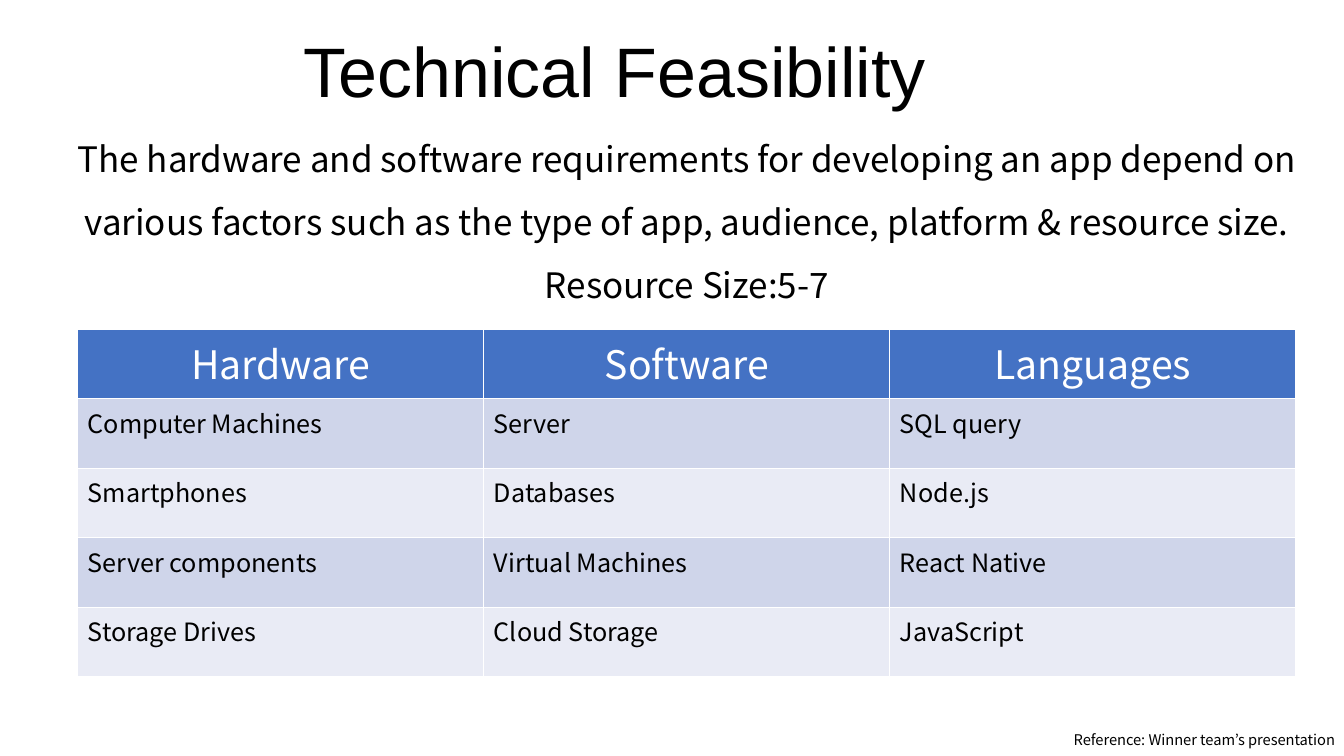
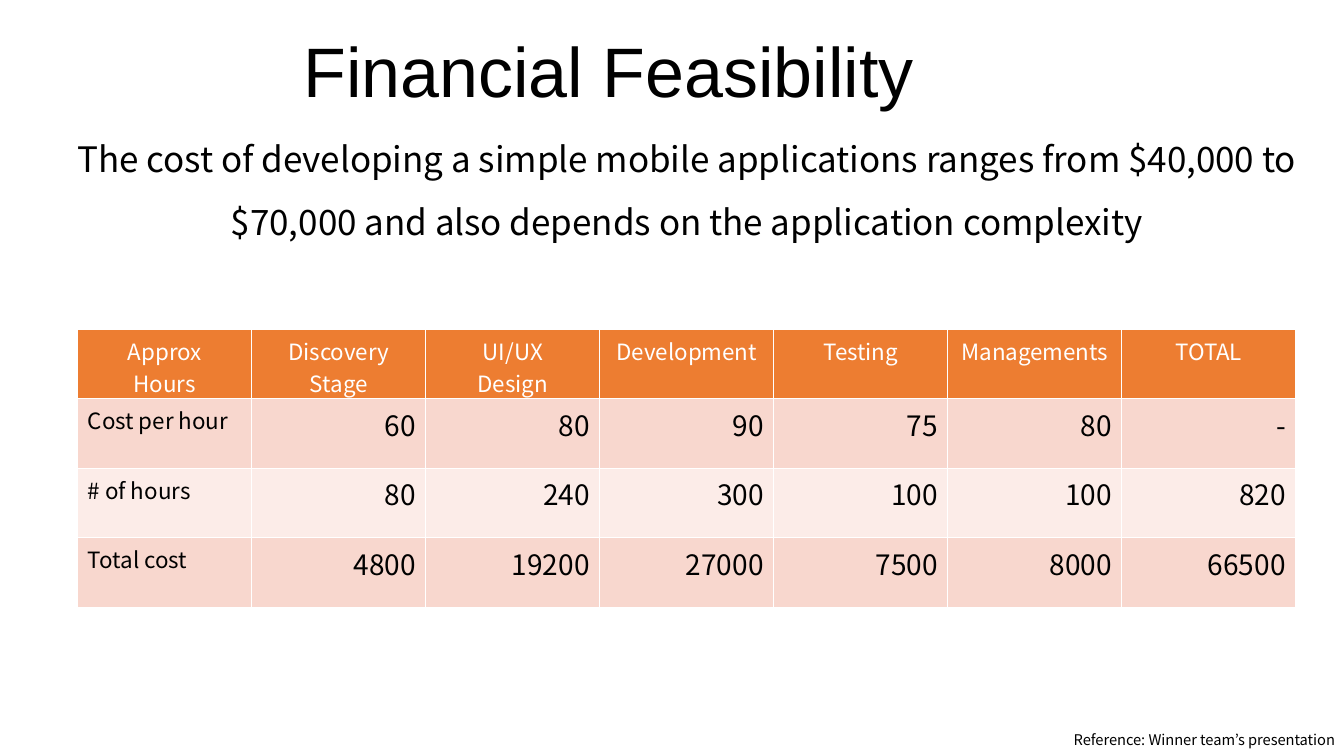
from pptx import Presentation
from pptx.dml.color import RGBColor
from pptx.enum import text
from pptx.util import Cm, Pt

COLORS = {
    "text": "000000", "header_text": "FFFFFF",
    "blue": "4472C4", "blue_dark": "CFD5EA", "blue_light": "E9EBF5",
    "orange": "ED7D31", "orange_dark": "F8D7CE", "orange_light": "FCECE8",
}
TITLE_FONT, BODY_FONT = "Arial", "Noto Sans CJK KR"
LEFT, CENTER, RIGHT = (text.PP_ALIGN.LEFT, text.PP_ALIGN.CENTER,
                       text.PP_ALIGN.RIGHT)

# left, top, width, height in cm
TITLE_BOX = (7.39, 0.56, 19.1, 4.52)
INTRO_BOX = (1.65, 2.82, 31.32, 4.85)
FOOTER_BOX = (26.14, 18.08, 8.43, 0.84)
TABLE_LEFT, TABLE_TOP, TABLE_WIDTH, ROW_HEIGHT = 1.96, 8.3, 30.7, 1.75

FOOTER = "Reference: Winner team’s presentation"
SLIDES = [
    {
        "title": "Technical Feasibility",
        "intro": [
            "The hardware and software requirements for developing an app "
            "depend on various factors such as the type of app, audience, "
            "platform & resource size.",
            "Resource Size:5-7",
        ],
        "accent": "blue",
        "header_size": 28,
        "label_size": 18,
        "value_style": (18, LEFT),
        "rows": [
            ("Hardware", "Software", "Languages"),
            ("Computer Machines", "Server", "SQL query"),
            ("Smartphones", "Databases", "Node.js"),
            ("Server components", "Virtual Machines", "React Native"),
            ("Storage Drives", "Cloud Storage", "JavaScript"),
        ],
    },
    {
        "title": "Financial Feasibility",
        "intro": [
            "The cost of developing a simple mobile applications ranges from "
            "$40,000 to $70,000 and also depends on the application complexity",
        ],
        "accent": "orange",
        "header_size": 16,
        "label_size": 16,
        "value_style": (20, RIGHT),
        "rows": [
            ("Approx\nHours", "Discovery\nStage", "UI/UX\nDesign",
             "Development", "Testing", "Managements", "TOTAL"),
            ("Cost per hour", "60", "80", "90", "75", "80", "-"),
            ("# of hours", "80", "240", "300", "100", "100", "820"),
            ("Total cost", "4800", "19200", "27000", "7500", "8000", "66500"),
        ],
    },
]


def rgb(name):
    return RGBColor.from_string(COLORS[name])


def write(tf, content, size, align, font=BODY_FONT, color="text", spacing=None):
    """Fill a text frame; each line of content becomes a paragraph."""
    tf.text = content
    for p in tf.paragraphs:
        p.alignment = align
        p.line_spacing = spacing
        p.font.name = font
        p.font.size = Pt(size)
        p.font.bold = False
        p.font.color.rgb = rgb(color)


def add_title(s, title):
    sp = s.shapes.title
    sp.left, sp.top, sp.width, sp.height = map(Cm, TITLE_BOX)
    tf = sp.text_frame
    tf.auto_size = text.MSO_AUTO_SIZE.NONE
    tf.vertical_anchor = text.MSO_ANCHOR.TOP
    write(tf, title, 50, LEFT, TITLE_FONT)


def add_text(s, box, content, size):
    tf = s.shapes.add_textbox(*map(Cm, box)).text_frame
    tf.word_wrap = True
    write(tf, content, size, CENTER, spacing=1.5)


def add_table(s, data):
    rows, accent = data["rows"], data["accent"]
    table = s.shapes.add_table(
        len(rows), len(rows[0]), Cm(TABLE_LEFT), Cm(TABLE_TOP),
        Cm(TABLE_WIDTH), Cm(ROW_HEIGHT * len(rows))).table
    for i, row in enumerate(rows):
        for j, value in enumerate(row):
            color = "text"
            if i == 0:
                fill, color = accent, "header_text"
                size, align = data["header_size"], CENTER
            else:
                fill = accent + ("_dark" if i % 2 else "_light")
                size, align = data["value_style"] if j else (data["label_size"], LEFT)
            cell = table.cell(i, j)
            cell.fill.solid()
            cell.fill.fore_color.rgb = rgb(fill)
            write(cell.text_frame, value, size, align, color=color)


def main():
    prs = Presentation()
    prs.slide_width, prs.slide_height = Cm(33.87), Cm(19.05)
    for data in SLIDES:
        s = prs.slides.add_slide(prs.slide_layouts[5])
        add_title(s, data["title"])
        add_text(s, INTRO_BOX, "\n".join(data["intro"]), 25)
        add_table(s, data)
        add_text(s, FOOTER_BOX, FOOTER, 10.5)
    prs.save("out.pptx")


if __name__ == "__main__":
    main()
